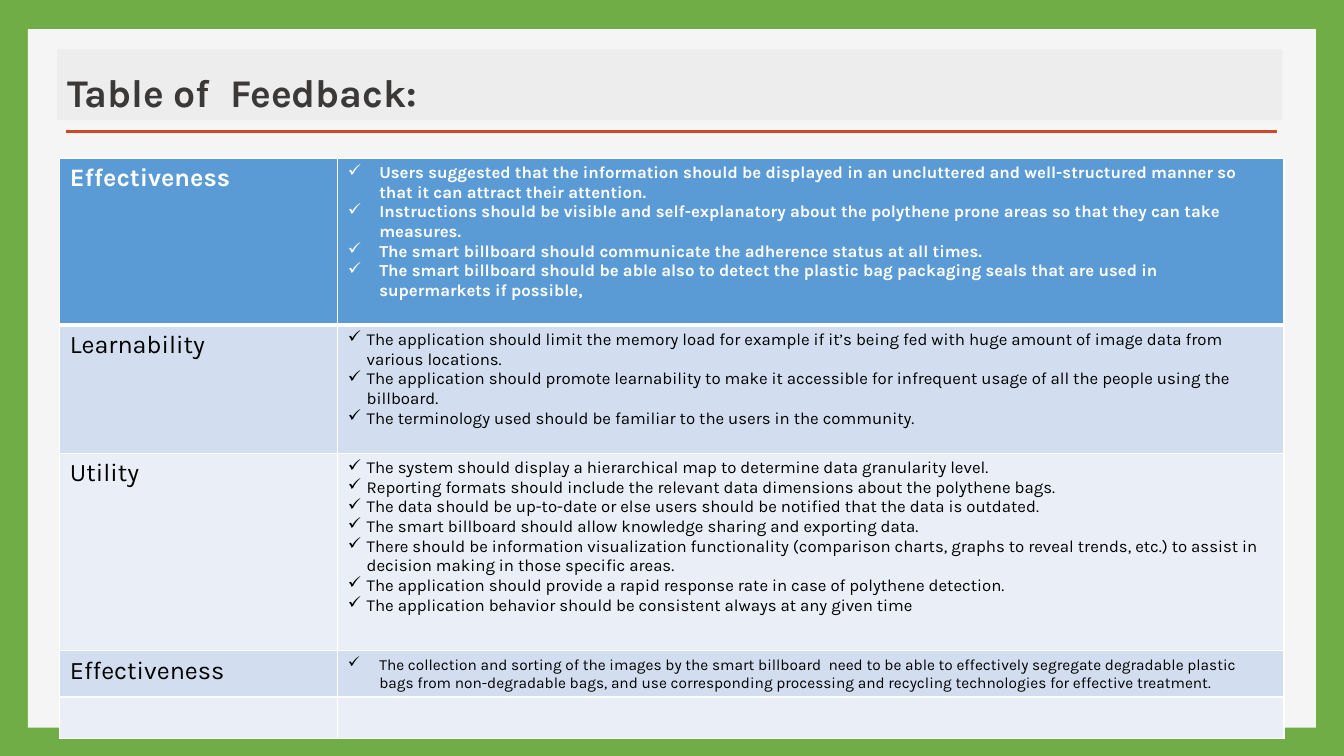
"""Build the feedback table slide."""
from dataclasses import dataclass

from lxml import etree
from pptx import Presentation, util as u
from pptx.dml.color import RGBColor
from pptx.enum import shapes, text
from pptx.oxml import ns

COLORS = {
    "frame": "70AD47", "panel": "F5F5F5", "title_bg": "EDEDED", "title": "3B3838",
    "rule": "D24726", "header": "5B9BD5", "band1": "D2DEEF", "band2": "EAEFF7",
    "white": "FFFFFF", "black": "000000",
}
FONT = "Karla"
COL_WIDTHS = (198.5, 676)


@dataclass
class Row:
    label: str
    points: list[str]
    height: float
    fill: str
    size: float = 12
    indent: float = 13.5
    color: str = "black"
    bold: bool = False


ROWS = [
    Row("Effectiveness", [
        "Users suggested that the information should be displayed in an uncluttered and well-structured manner so that it can attract their attention.",
        "Instructions should be visible and self-explanatory about the polythene prone areas so that they can take measures.",
        "The smart billboard should communicate the adherence status at all times.",
        "The smart billboard should be able also to detect the plastic bag packaging seals that are used in supermarkets if possible,",
    ], 119.25, "header", indent=22.5, color="white", bold=True),
    Row("Learnability", [
        "The application should limit the memory load for example if it’s being fed with huge amount of image data from various locations.",
        "The application should promote learnability to make it accessible for infrequent usage of all the people using the billboard.",
        "The terminology used should be familiar to the users in the community.",
    ], 91.5, "band1"),
    Row("Utility", [
        "The system should display a hierarchical map to determine data granularity level.",
        "Reporting formats should include the relevant data dimensions about the polythene bags.",
        "The data should be up-to-date or else users should be notified that the data is outdated.",
        "The smart billboard should allow knowledge sharing and exporting data.",
        "There should be information visualization functionality (comparison charts, graphs to reveal trends, etc.) to assist in decision making in those specific areas.",
        "The application should provide a rapid response rate in case of polythene detection.",
        "The application behavior should be consistent always at any given time",
    ], 141.25, "band2"),
    Row("Effectiveness", [
        "The collection and sorting of the images by the smart billboard  need to be able to effectively segregate degradable plastic bags from non-degradable bags, and use corresponding processing and recycling technologies for effective treatment.",
    ], 32.5, "band1", size=11, indent=22.5),
    Row("", [], 29.5, "band2"),
]


def rgb(name: str) -> RGBColor:
    return RGBColor.from_string(COLORS[name])


def set_font(p, size: float, color: str, bold: bool) -> None:
    f = p.font
    f.name, f.size, f.bold = FONT, u.Pt(size), bold
    f.color.rgb = rgb(color)


def add_box(s, left: float, top: float, width: float, height: float, fill: str):
    sp = s.shapes.add_shape(shapes.MSO_SHAPE.RECTANGLE, u.Pt(left), u.Pt(top), u.Pt(width), u.Pt(height))
    sp.shadow.inherit = False
    sp.fill.solid()
    sp.fill.fore_color.rgb = rgb(fill)
    sp.line.fill.background()
    return sp


def add_bullet(p, indent: float) -> None:
    pPr = p._p.get_or_add_pPr()
    pPr.set("marL", str(u.Pt(indent)))
    pPr.set("indent", str(-u.Pt(indent)))
    bu = etree.Element(ns.qn("a:buChar"), char="✓")
    pPr.insert(0, bu)


def set_borders(cell, top: float, bottom: float) -> None:
    tcPr = cell._tc.get_or_add_tcPr()
    for i, (side, width) in enumerate({"L": 1, "R": 1, "T": top, "B": bottom}.items()):
        ln = etree.Element(ns.qn(f"a:ln{side}"), w=str(u.Pt(width)))
        fill = etree.SubElement(ln, ns.qn("a:solidFill"))
        etree.SubElement(fill, ns.qn("a:srgbClr"), val=COLORS["white"])
        tcPr.insert(i, ln)


def fill_cell(cell, lines: list[str], size: float, row: Row) -> None:
    cell.fill.solid()
    cell.fill.fore_color.rgb = rgb(row.fill)
    tf = cell.text_frame
    tf.text = "\n".join(lines)
    for p in tf.paragraphs:
        set_font(p, size, row.color, row.bold)


def add_feedback_table(s, rows: list[Row]) -> None:
    height = sum(row.height for row in rows)
    tbl = s.shapes.add_table(len(rows), 2, u.Pt(42.75), u.Pt(113), u.Pt(sum(COL_WIDTHS)), u.Pt(height)).table
    for col, width in zip(tbl.columns, COL_WIDTHS):
        col.width = u.Pt(width)
    for i, row in enumerate(rows):
        tbl.rows[i].height = u.Pt(row.height)
        label, points = tbl.cell(i, 0), tbl.cell(i, 1)
        fill_cell(label, [row.label], 18, row)
        fill_cell(points, row.points, row.size if row.points else 18, row)
        if row.points:
            for p in points.text_frame.paragraphs:
                add_bullet(p, row.indent)
        for cell in (label, points):
            set_borders(cell, 3 if i == 1 else 1, 3 if i == 0 else 1)


def add_title(s, title: str) -> None:
    tf = add_box(s, 41, 35.25, 875, 50.5, "title_bg").text_frame
    tf.word_wrap = True
    tf.vertical_anchor = text.MSO_ANCHOR.BOTTOM
    tf.text = title
    p = tf.paragraphs[0]
    p.alignment = text.PP_ALIGN.LEFT
    set_font(p, 28, "title", True)


def add_rule(s) -> None:
    ln = s.shapes.add_connector(shapes.MSO_CONNECTOR.STRAIGHT, u.Pt(47.5), u.Pt(94), u.Pt(912.25), u.Pt(94))
    ln.line.color.rgb = rgb("rule")
    ln.line.width = u.Pt(2)
    etree.SubElement(ln._element.spPr, ns.qn("a:effectLst"))


def main() -> None:
    prs = Presentation()
    prs.slide_width, prs.slide_height = u.Pt(960), u.Pt(540)
    s = prs.slides.add_slide(prs.slide_layouts[6])
    s.background.fill.solid()
    s.background.fill.fore_color.rgb = rgb("frame")
    add_box(s, 20, 20.75, 920, 499, "panel")
    add_rule(s)
    add_title(s, "Table of  Feedback:")
    add_feedback_table(s, ROWS)
    prs.save("out.pptx")


if __name__ == "__main__":
    main()
